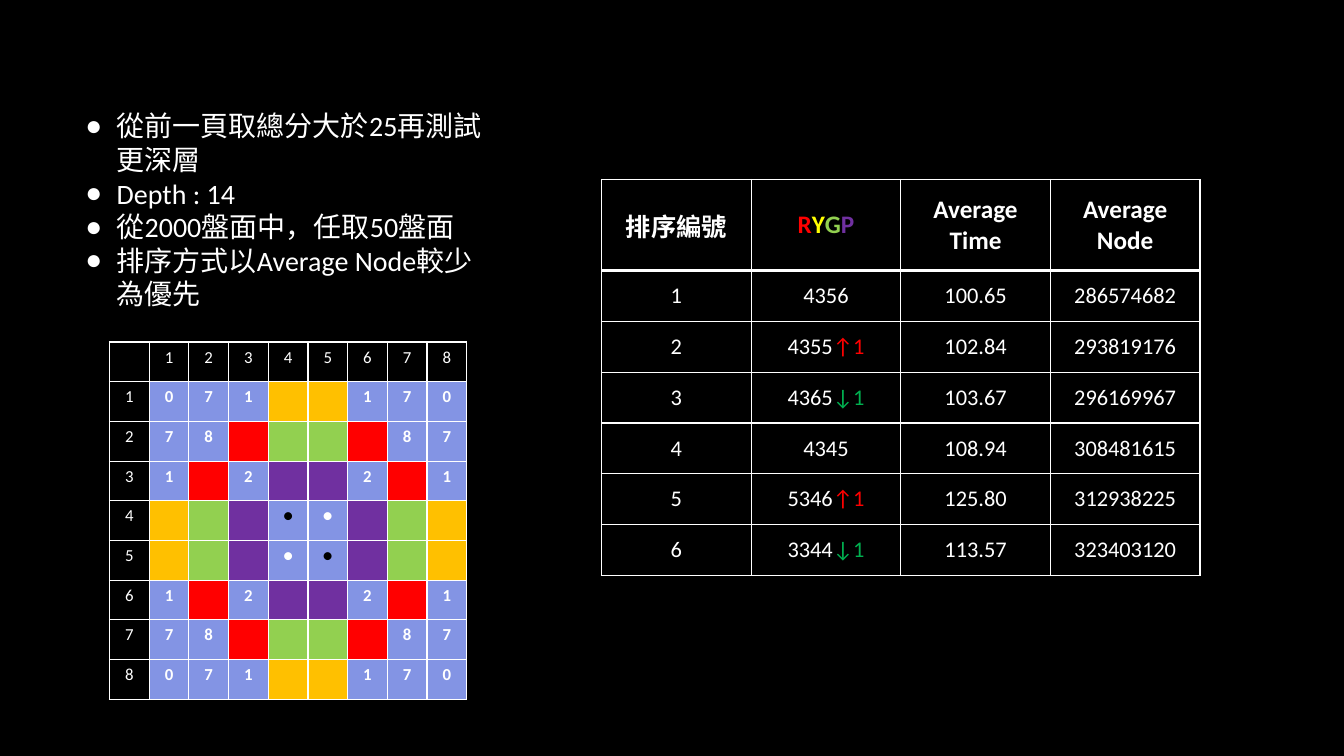
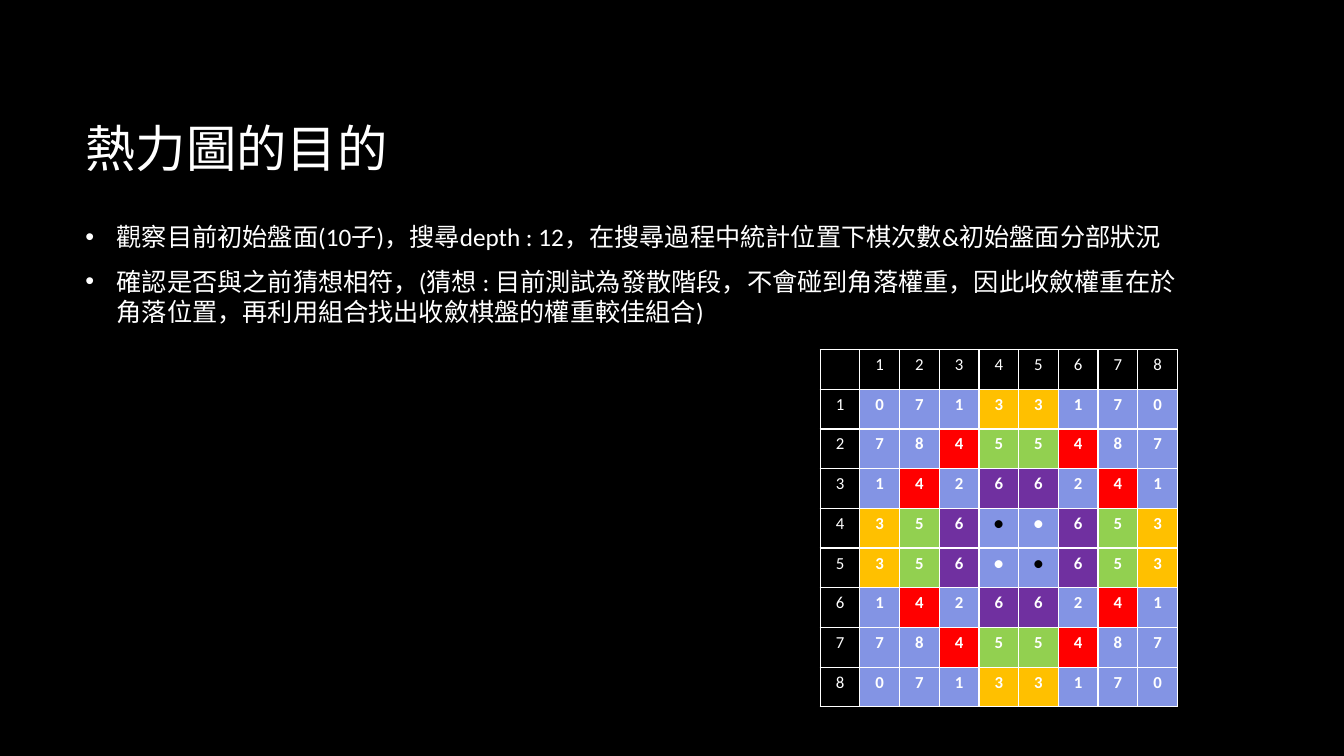
from dataclasses import dataclass

from lxml import etree
from pptx import Presentation
from pptx.dml.color import RGBColor
from pptx.enum.text import MSO_ANCHOR, PP_ALIGN
from pptx.oxml.ns import qn
from pptx.util import Cm, Pt

CENTER = PP_ALIGN.CENTER
TOP, MIDDLE = MSO_ANCHOR.TOP, MSO_ANCHOR.MIDDLE


@dataclass(frozen=True)
class Theme:
    font: str = "Calibri"
    black: str = "000000"
    white: str = "FFFFFF"
    red: str = "FF0000"
    yellow: str = "FFFF00"
    green: str = "92D050"
    purple: str = "7030A0"
    orange: str = "FFC000"
    blue: str = "8394E4"
    fall: str = "00B050"
    title: int = 36
    points: int = 20
    body: int = 18
    result: int = 16
    board: int = 12
    thin: int = 1
    thick: int = 2


T = Theme()

TEST_POINTS = [
    "從前一頁取總分大於25再測試更深層",
    "Depth : 14",
    "從2000盤面中，任取50盤面",
    "排序方式以Average Node較少為優先",
]
TITLE = "熱力圖的目的"
PURPOSE_POINTS = [
    "觀察目前初始盤面(10子)，搜尋depth : 12，在搜尋過程中統計位置下棋次數&初始盤面分部狀況",
    "確認是否與之前猜想相符，(猜想 : 目前測試為發散階段，不會碰到角落權重，"
    "因此收斂權重在於角落位置，再利用組合找出收斂棋盤的權重較佳組合)",
]
HEADERS = ["排序編號", "RYGP", "Average\nTime", "Average\nNode"]
RESULTS = [
    ("4356", "", "100.65", "286574682"),
    ("4355", "↑1", "102.84", "293819176"),
    ("4365", "↓1", "103.67", "296169967"),
    ("4345", "", "108.94", "308481615"),
    ("5346", "↑1", "125.80", "312938225"),
    ("3344", "↓1", "113.57", "323403120"),
]
RYGP_COLORS = [T.red, T.yellow, T.green, T.purple]
CHANGE_COLORS = {"↑1": T.red, "↓1": T.fall, "": T.white}

# The board mirrors its top left quarter in both directions.
DISC = "●"
QUARTER = ["0713", "7845", "1426", f"356{DISC}"]
HEAT = {"3": T.orange, "4": T.red, "5": T.green, "6": T.purple}


def add_runs(p, runs, size, bold=False):
    """Add (text, colour) runs to a paragraph."""
    for text, color in runs:
        r = p.add_run()
        r.text = text
        for name, value in {"name": T.font, "size": Pt(size), "bold": bold}.items():
            setattr(r.font, name, value)
        r.font.color.rgb = RGBColor.from_string(color)


def set_bullet(p, char):
    indent = Cm(0.79)
    pPr = p._p.get_or_add_pPr()
    pPr.set("marL", str(indent))
    pPr.set("indent", str(-indent))
    color = etree.SubElement(pPr, qn("a:buClr"))
    etree.SubElement(color, qn("a:srgbClr"), val=T.white)
    etree.SubElement(pPr, qn("a:buFont"), typeface="Arial")
    etree.SubElement(pPr, qn("a:buChar"), char=char)


def add_text(slide, box, lines, size, anchor=TOP, bullet=None, gap=0):
    tf = slide.shapes.add_textbox(*map(Cm, box)).text_frame
    tf.word_wrap = True
    tf.vertical_anchor = anchor
    for i, line in enumerate(lines):
        p = tf.add_paragraph() if i else tf.paragraphs[0]
        p.space_after = Pt(gap)
        if bullet:
            set_bullet(p, bullet)
        add_runs(p, [(line, T.white)], size)


def add_grid(slide, left, top, widths, heights):
    """Add a table without header row or banding."""
    frame = slide.shapes.add_table(len(heights), len(widths), Cm(left), Cm(top),
                                   Cm(sum(widths)), Cm(sum(heights)))
    table = frame.table
    table.first_row = table.horz_banding = False
    for column, width in zip(table.columns, widths):
        column.width = Cm(width)
    for row, height in zip(table.rows, heights):
        row.height = Cm(height)
    return table


def set_cell(cell, paragraphs, size, bold=False, fill=None, top=T.thin, bottom=T.thin, **layout):
    """Fill a cell with paragraphs of (text, colour) runs and draw its borders."""
    tcPr = cell._tc.get_or_add_tcPr()
    for side, width in {"L": T.thin, "R": T.thin, "T": top, "B": bottom}.items():
        ln = etree.SubElement(tcPr, qn(f"a:ln{side}"), w=str(Pt(width)))
        solid = etree.SubElement(ln, qn("a:solidFill"))
        etree.SubElement(solid, qn("a:srgbClr"), val=T.white)
    if fill:
        cell.fill.solid()
        cell.fill.fore_color.rgb = RGBColor.from_string(fill)
    else:
        cell.fill.background()
    for name, value in layout.items():
        setattr(cell, name, value)
    tf = cell.text_frame
    for i, runs in enumerate(paragraphs):
        p = tf.add_paragraph() if i else tf.paragraphs[0]
        p.alignment = CENTER
        add_runs(p, runs, size, bold)


def add_results(slide, left, top):
    table = add_grid(slide, left, top, [3.77] * len(HEADERS), [2.3] + [1.28] * len(RESULTS))
    for col, header in enumerate(HEADERS):
        if header == "RYGP":
            paragraphs = [list(zip(header, RYGP_COLORS))]
        else:
            paragraphs = [[(line, T.white)] for line in header.split("\n")]
        set_cell(table.cell(0, col), paragraphs, T.body, bold=True, bottom=T.thick,
                 vertical_anchor=MIDDLE)
    no_margins = {f"margin_{side}": 0 for side in ("left", "right", "top", "bottom")}
    for row, (weights, change, time, nodes) in enumerate(RESULTS, 1):
        weight_runs = [(weights, T.white)]
        if change:
            weight_runs.append((change, CHANGE_COLORS[change]))
        cells = [[(str(row), T.white)], weight_runs, [(time, T.white)], [(nodes, T.white)]]
        for col, runs in enumerate(cells):
            set_cell(table.cell(row, col), [runs], T.result,
                     top=T.thick if row == 1 else T.thin,
                     vertical_anchor=MIDDLE, **no_margins)


def add_board(slide, left, top, show_heat):
    """Add the board; show_heat also writes the numbers of the coloured squares."""
    half = [line + line[::-1] for line in QUARTER]
    squares = half + half[::-1]
    side = len(squares) + 1
    table = add_grid(slide, left, top, [1] * side, [1] * side)
    for row in range(side):
        for col in range(side):
            color, fill = T.white, None
            on_board = row > 0 and col > 0
            if on_board:
                text = squares[row - 1][col - 1]
                fill = HEAT.get(text, T.blue)
                if text == DISC and row == col:
                    color = T.black
                if text in HEAT and not show_heat:
                    text = ""
            else:
                text = str(row + col) if row + col else ""
            set_cell(table.cell(row, col), [[(text, color)]] if text else [], T.board,
                     bold=on_board, fill=fill, margin_bottom=0)


def add_slide(prs):
    s = prs.slides.add_slide(prs.slide_layouts[6])
    s.background.fill.solid()
    s.background.fill.fore_color.rgb = RGBColor.from_string(T.black)
    return s


def main():
    prs = Presentation()
    prs.slide_width, prs.slide_height = Cm(33.87), Cm(19.05)

    s = add_slide(prs)
    add_text(s, (1.9, 2.62, 10.72, 5.38), TEST_POINTS, T.points, bullet="●")
    add_results(s, 15.16, 4.52)
    add_board(s, 2.76, 8.62, show_heat=False)

    s = add_slide(prs)
    add_text(s, (1.9, 1.7, 28.14, 4.04), [TITLE], T.title, MIDDLE)
    add_text(s, (1.9, 5.05, 28.14, 3.71), PURPOSE_POINTS, T.body, MIDDLE, bullet="•", gap=10)
    add_board(s, 20.67, 8.81, show_heat=True)

    prs.save("out.pptx")


if __name__ == "__main__":
    main()
